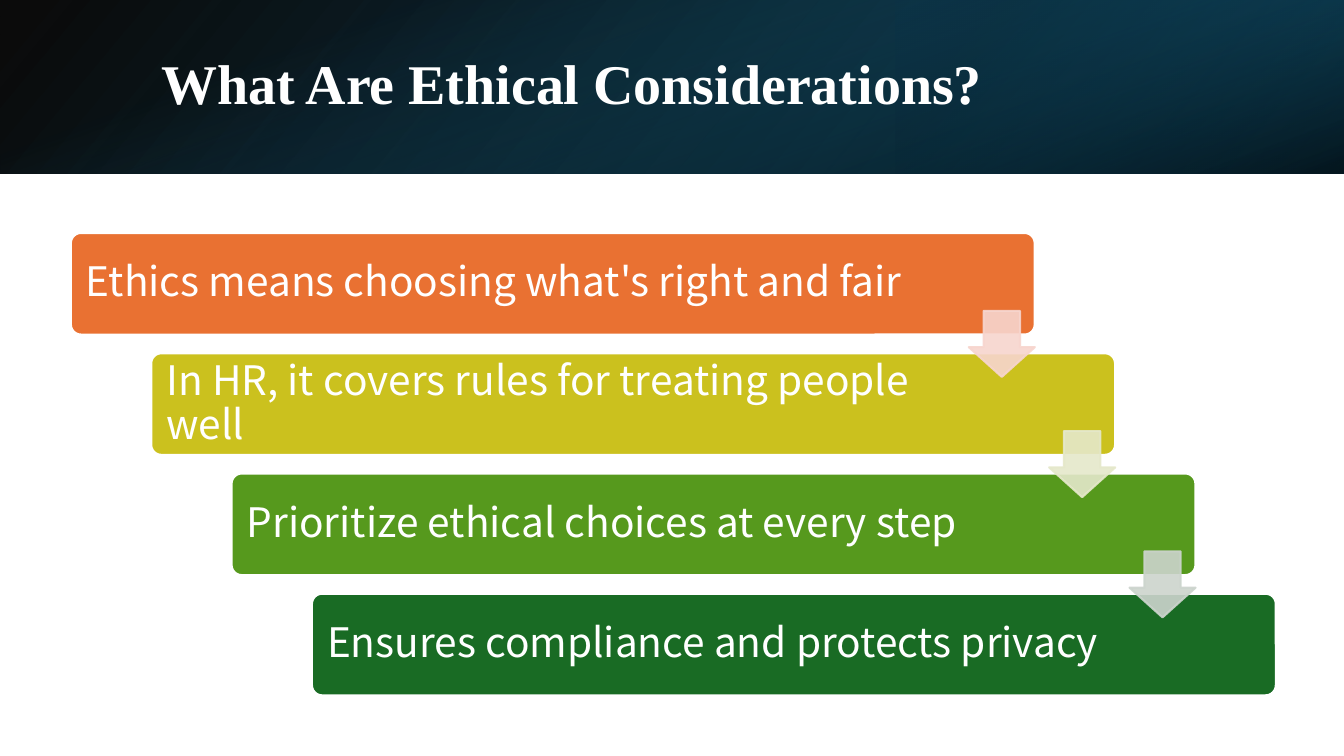
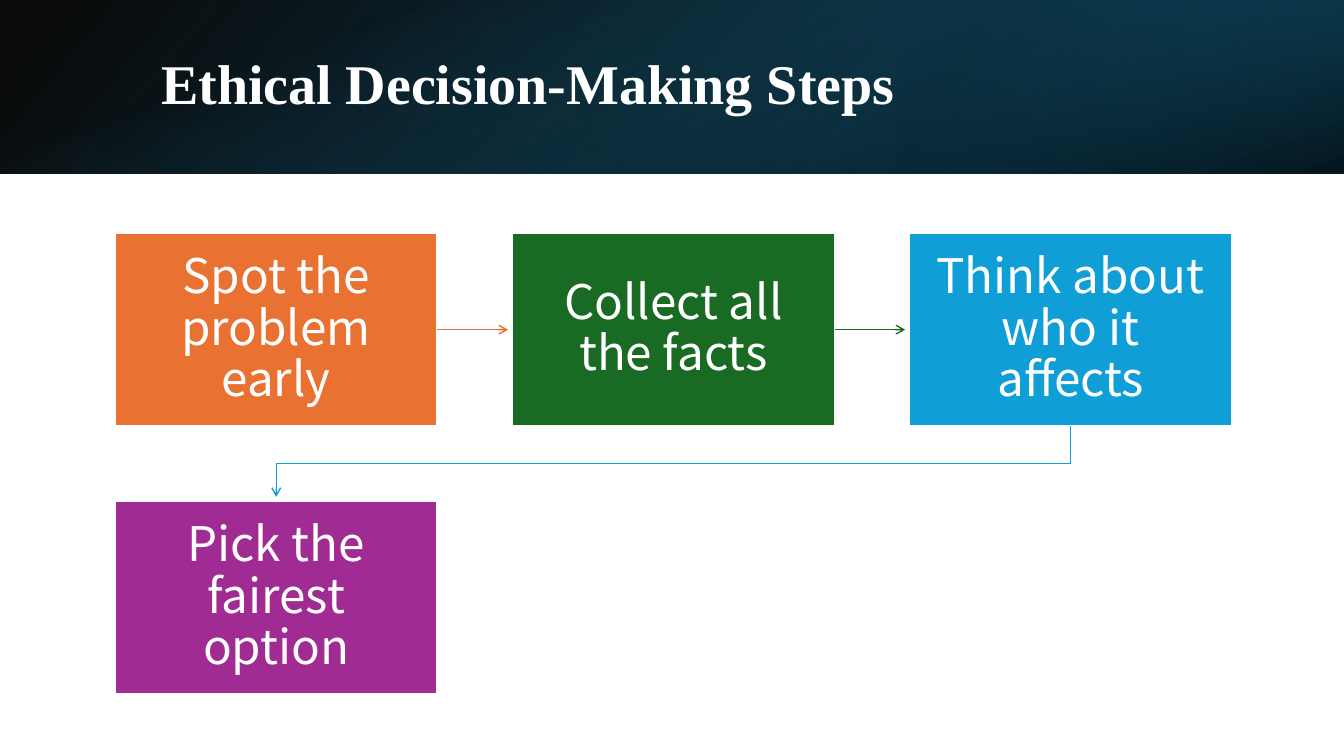
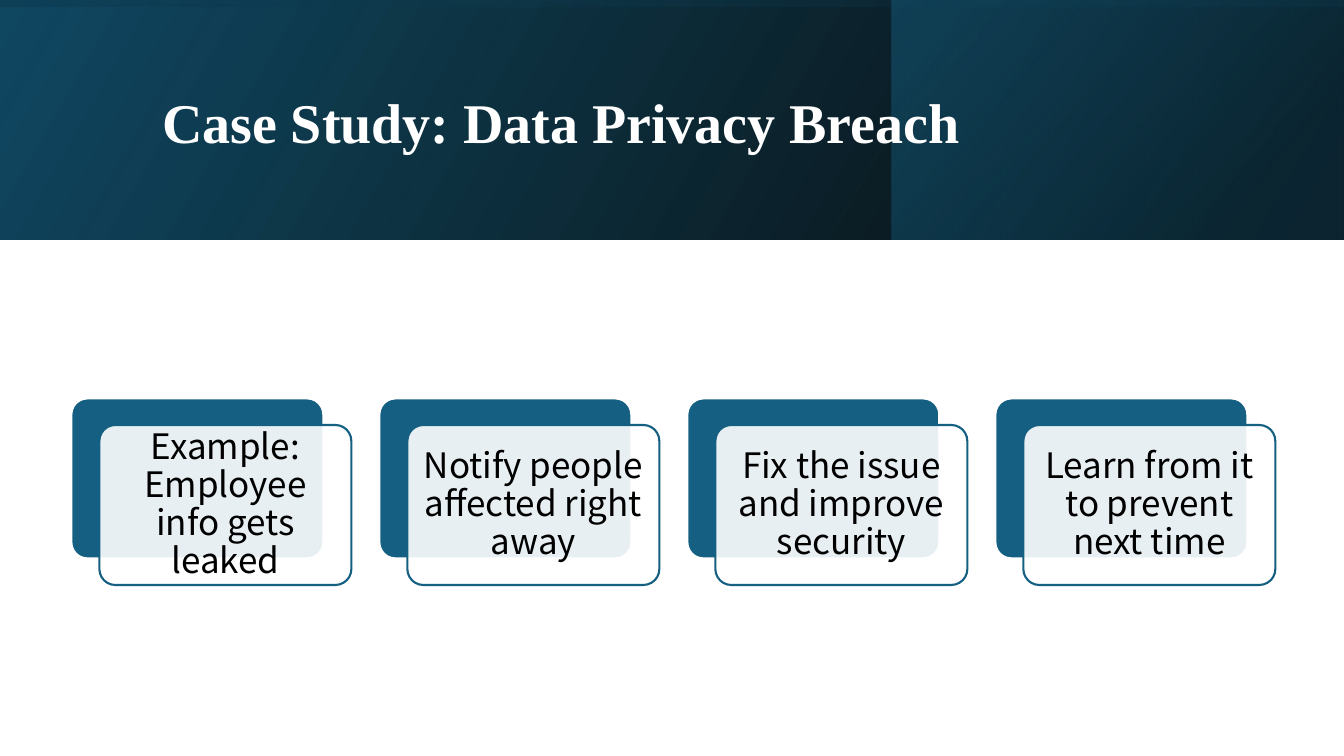
from dataclasses import dataclass

from lxml import etree
from pptx import Presentation
from pptx.dml.color import RGBColor
from pptx.enum.shapes import MSO_CONNECTOR, MSO_SHAPE
from pptx.enum.text import MSO_ANCHOR, PP_ALIGN
from pptx.oxml.ns import qn
from pptx.util import Pt

RECTANGLE = MSO_SHAPE.RECTANGLE
ROUNDED = MSO_SHAPE.ROUNDED_RECTANGLE
DOWN_ARROW = MSO_SHAPE.DOWN_ARROW
STRAIGHT = MSO_CONNECTOR.STRAIGHT
MIDDLE = MSO_ANCHOR.MIDDLE
LEFT, CENTER = PP_ALIGN.LEFT, PP_ALIGN.CENTER

PAGE_WIDTH, PAGE_HEIGHT = 960, 540
TITLE_FONT, BODY_FONT = "Times New Roman", "Noto Sans CJK SC"
OUTLINE = 1.5
COLORS = {
    "white": "FFFFFF", "black": "000000", "navy": "104862", "deep": "0B3041",
    "teal": "156082", "orange": "E97132", "yellow": "CBC11E", "lime": "56991D",
    "green": "196B24", "blue": "0F9ED5", "purple": "A02B93",
    "pale_orange": "F7D5CE", "pale_yellow": "E5E8CA", "pale_green": "CCD4CD",
}


@dataclass
class Frame:
    left: float
    top: float
    width: float
    height: float

    def lengths(self) -> tuple:
        return Pt(self.left), Pt(self.top), Pt(self.width), Pt(self.height)


@dataclass
class Stop:
    position: float
    color: str
    opacity: int = 100


@dataclass
class Layer:
    """One gradient sheet of the header band; angle runs clockwise."""
    frame: Frame
    stops: tuple[Stop, Stop]
    angle: int
    rotation: int = 0
    flipped: bool = True


@dataclass
class Header:
    layers: list[Layer]
    title: Frame


@dataclass
class Step:
    text: str
    color: str
    right_inset: float = 0
    arrow_color: str = ""


def turned_band(height: float) -> Frame:
    """Frame that covers the full page width after a quarter turn."""
    return Frame((PAGE_WIDTH - height) / 2, (height - PAGE_WIDTH) / 2,
                 height, PAGE_WIDTH)


# Header bands
BASE = (Stop(0, "black", 96), Stop(1, "navy"))
LOW, HIGH = 124, 170.8
LOW_HEADER = Header([
    Layer(Frame(0, 0, PAGE_WIDTH, LOW), BASE, 140),
    Layer(Frame(640, 0, 320, LOW),
          (Stop(0.19, "deep", 68), Stop(1, "teal", 79)), 320, 180),
    Layer(turned_band(LOW),
          (Stop(0.23, "teal", 0), Stop(0.99, "black", 74)), 340, 90, False),
], Frame(108, 27.4, 790.6, 69))
HIGH_HEADER = Header([
    Layer(Frame(0, 0, PAGE_WIDTH, HIGH), BASE, 330),
    Layer(Frame(636.6, 0, 322.8, HIGH),
          (Stop(0.19, "deep", 68), Stop(1, "teal", 48)), 320),
    Layer(turned_band(HIGH),
          (Stop(0.23, "navy", 16), Stop(0.99, "black", 45)), 350, 270),
], Frame(108.7, 27.4, 765.4, 124))


def rgb(name: str) -> RGBColor:
    return RGBColor.from_string(COLORS[name])


def set_opacity(element, percents: list[int]) -> None:
    """Give the colours inside the element their opacities, in order."""
    for color, percent in zip(list(element.iter(qn("a:srgbClr"))), percents):
        if percent < 100:
            etree.SubElement(color, qn("a:alpha"), val=str(percent * 1000))


def add_box(page, kind, frame: Frame, fill: str, line: str = "white",
            opacity: int = 100, line_opacity: int = 100,
            adjustments: tuple = ()):
    box = page.shapes.add_shape(kind, *frame.lengths())
    box.shadow.inherit = False
    for index, value in enumerate(adjustments):
        box.adjustments[index] = value
    box.fill.solid()
    box.fill.fore_color.rgb = rgb(fill)
    box.line.color.rgb = rgb(line)
    box.line.width = Pt(OUTLINE)
    set_opacity(box.element.spPr, [opacity, line_opacity])
    return box


def write(box, text: str, size: float, color: str, align=LEFT,
          insets: tuple = (7.2, 3.6, 7.2, 3.6), font: str = BODY_FONT,
          bold: bool = False) -> None:
    frame = box.text_frame
    frame.word_wrap = True
    frame.vertical_anchor = MIDDLE
    (frame.margin_left, frame.margin_top,
     frame.margin_right, frame.margin_bottom) = map(Pt, insets)
    para = frame.paragraphs[0]
    para.text = text
    para.alignment = align
    para.line_spacing = 0.9
    para.font.name = font
    para.font.size = Pt(size)
    para.font.bold = bold
    para.font.color.rgb = rgb(color)


def add_layer(page, layer: Layer) -> None:
    sheet = page.shapes.add_shape(RECTANGLE, *layer.frame.lengths())
    sheet.shadow.inherit = False
    sheet.line.fill.background()
    sheet.rotation = layer.rotation
    if layer.flipped:
        sheet.element.spPr.find(qn("a:xfrm")).set("flipH", "1")
    sheet.fill.gradient()
    sheet.fill.gradient_angle = 360 - layer.angle
    for target, stop in zip(sheet.fill.gradient_stops, layer.stops):
        target.position = stop.position
        target.color.rgb = rgb(stop.color)
    set_opacity(sheet.element.spPr, [stop.opacity for stop in layer.stops])


def add_page(deck, header: Header, title: str):
    page = deck.slides.add_slide(deck.slide_layouts[6])
    for layer in header.layers:
        add_layer(page, layer)
    box = page.shapes.add_textbox(*header.title.lengths())
    write(box, title, 40, "white", font=TITLE_FONT, bold=True)
    return page


def style_arrow(arrow, color: str) -> None:
    arrow.line.color.rgb = rgb(color)
    arrow.line.width = Pt(1)
    line = arrow.line._get_or_add_ln()
    etree.SubElement(line, qn("a:tailEnd"), type="arrow")


# Slide 1: staircase of bars
def build_considerations(deck) -> None:
    page = add_page(deck, LOW_HEADER, "What Are Ethical Considerations?")
    steps = [
        Step("Ethics means choosing what's right and fair", "orange", 88.5,
             "pale_orange"),
        Step("In HR, it covers rules for treating people well", "yellow", 113,
             "pale_yellow"),
        Step("Prioritize ethical choices at every step", "lime", 113,
             "pale_green"),
        Step("Ensures compliance and protects privacy", "green", 113),
    ]
    step_x, step_y = 57.4, 85.9
    for index, step in enumerate(steps):
        frame = Frame(50.6 + index * step_x, 166.4 + index * step_y, 688.5, 72.6)
        bar = add_box(page, ROUNDED, frame, step.color, adjustments=(0.1,))
        write(bar, step.text, 29, "white",
              insets=(8.7, 8.7, step.right_inset, 8.7))
    for index, step in enumerate(steps[:-1]):
        frame = Frame(692 + index * step_x, 222 + index * step_y, 47.2, 47.2)
        add_box(page, DOWN_ARROW, frame, step.arrow_color, step.arrow_color,
                90, 90, (0.55, 0.45))


# Slide 2: flow that wraps to a second row
def build_decision_steps(deck) -> None:
    page = add_page(deck, LOW_HEADER, "Ethical Decision-Making Steps")
    steps = [
        Step("Spot the problem early", "orange"),
        Step("Collect all the facts", "green"),
        Step("Think about who it affects", "blue"),
        Step("Pick the fairest option", "purple"),
    ]
    columns, width, height, reach = 3, 230.4, 138.2, 50.4
    frames = []
    for index, step in enumerate(steps):
        row, column = divmod(index, columns)
        frame = Frame(82.1 + column * 283.7, 166.4 + row * 191.5, width, height)
        box = add_box(page, RECTANGLE, frame, step.color)
        write(box, step.text, 34, "white", CENTER, (11.5,) * 4)
        frames.append(frame)
        if column < columns - 1 and index < len(steps) - 1:
            start, middle = frame.left + width, frame.top + height / 2
            arrow = page.shapes.add_connector(
                STRAIGHT, Pt(start), Pt(middle), Pt(start + reach), Pt(middle))
            arrow.begin_connect(box, 3)
            style_arrow(arrow, step.color)
            etree.SubElement(arrow.element.spPr, qn("a:effectLst"))

    # Return arrow from the last box of the row to the next row
    source, target = frames[columns - 1], frames[columns]
    start_x, end_x = source.left + width / 2, target.left + width / 2
    start_y, turn_y = source.top + height, source.top + height + 26.6
    path = page.shapes.build_freeform(Pt(start_x), Pt(start_y))
    path.add_line_segments(
        [(Pt(start_x), Pt(turn_y)), (Pt(end_x), Pt(turn_y)),
         (Pt(end_x), Pt(start_y + reach))], close=False)
    arrow = path.convert_to_shape()
    arrow.shadow.inherit = False
    arrow.fill.background()
    style_arrow(arrow, steps[columns - 1].color)


# Slide 3: row of layered cards
def build_case_study(deck) -> None:
    page = add_page(deck, HIGH_HEADER, "Case Study: Data Privacy Breach")
    cards = [
        "Example: Employee info gets leaked",
        "Notify people affected right away",
        "Fix the issue and improve security",
        "Learn from it to prevent next time",
    ]
    width, height = 180, 114.3
    for index, text in enumerate(cards):
        left, top = 51 + index * 220, 284.6
        add_box(page, ROUNDED, Frame(left, top, width, height), "teal",
                adjustments=(0.1,))
        card = add_box(page, ROUNDED, Frame(left + 20, top + 19, width, height),
                       "white", "teal", 90, adjustments=(0.1,))
        write(card, text, 25, "black", CENTER, (7.5,) * 4)


def main() -> None:
    deck = Presentation()
    deck.slide_width, deck.slide_height = Pt(PAGE_WIDTH), Pt(PAGE_HEIGHT)
    build_considerations(deck)
    build_decision_steps(deck)
    build_case_study(deck)
    deck.save("out.pptx")


if __name__ == "__main__":
    main()
